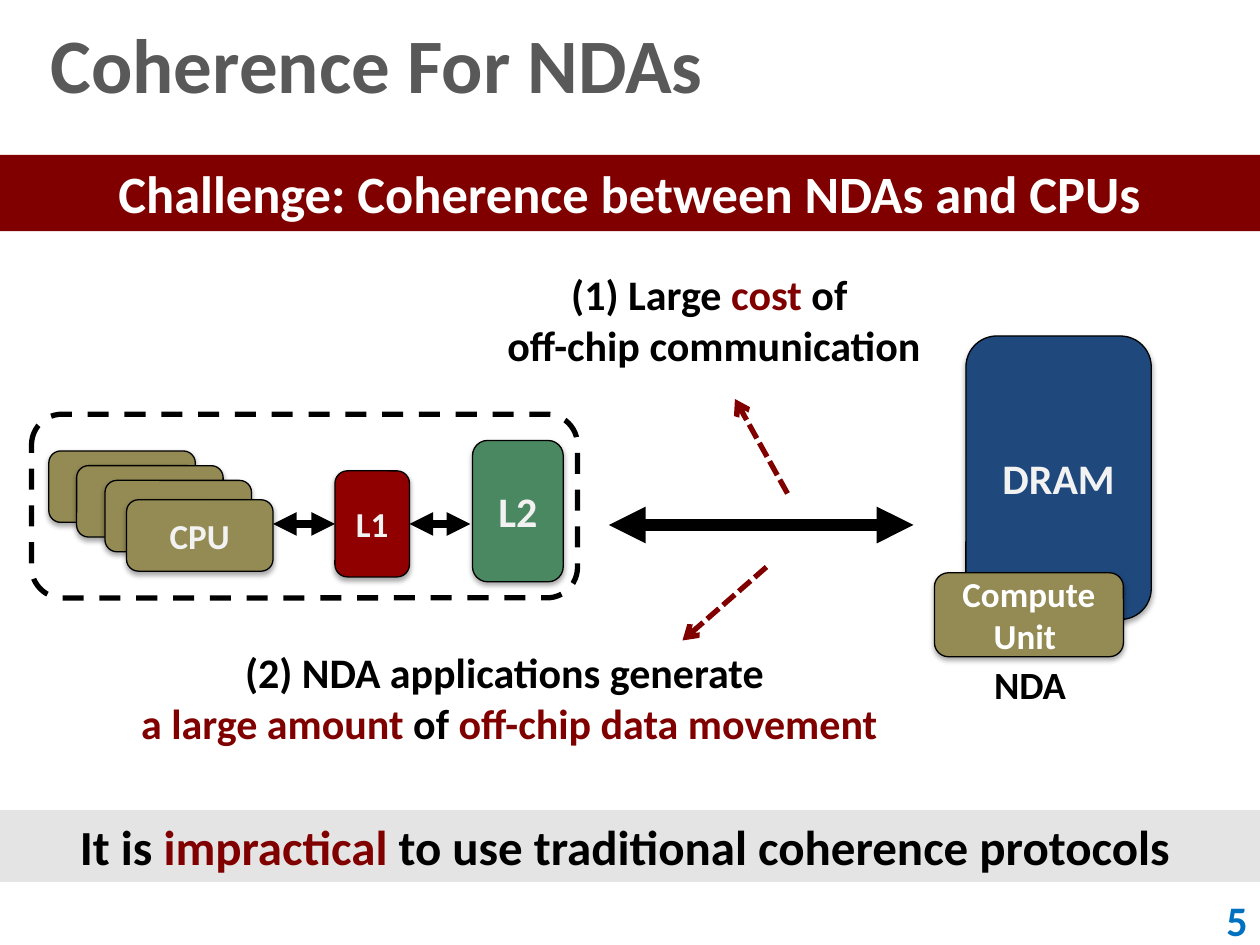
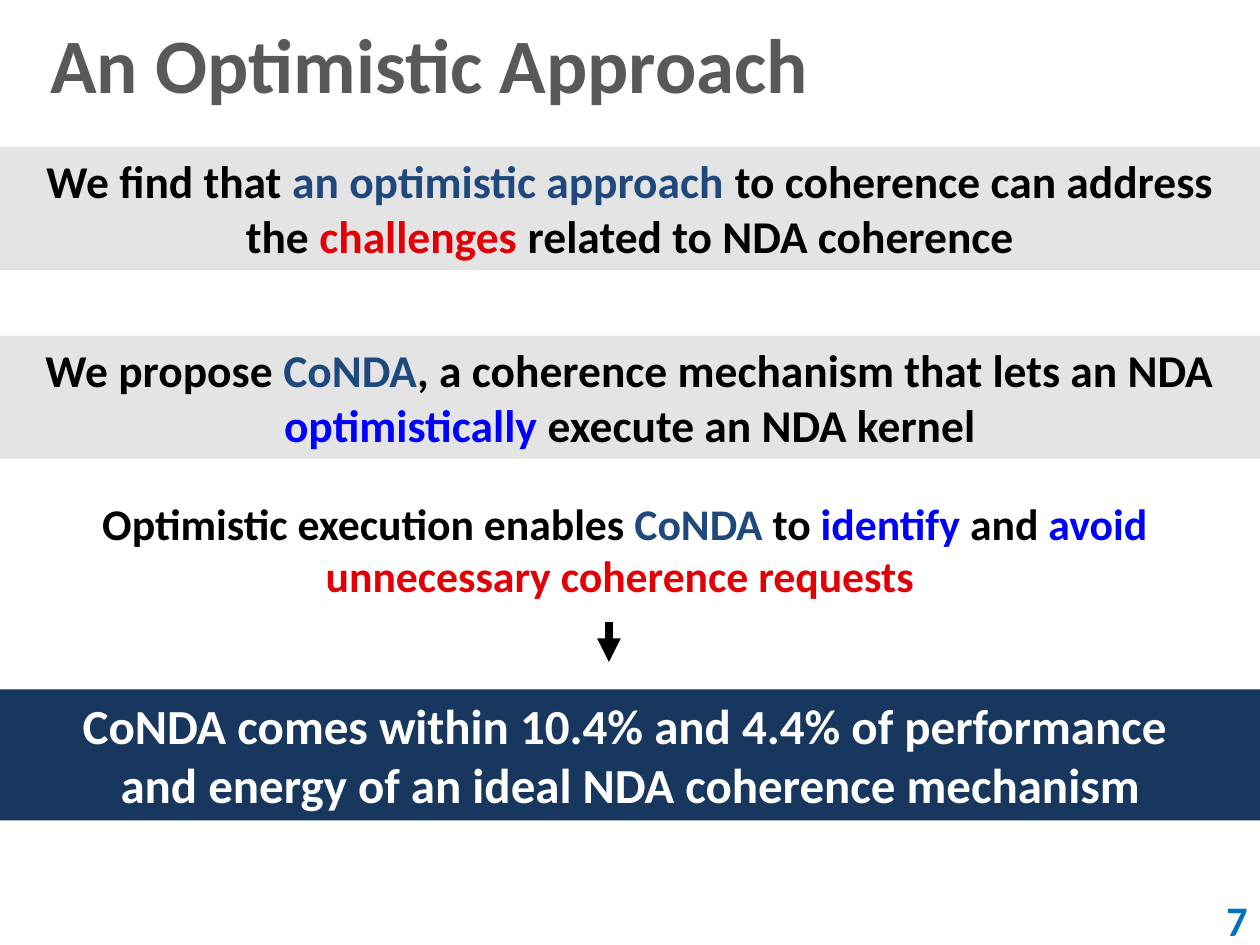
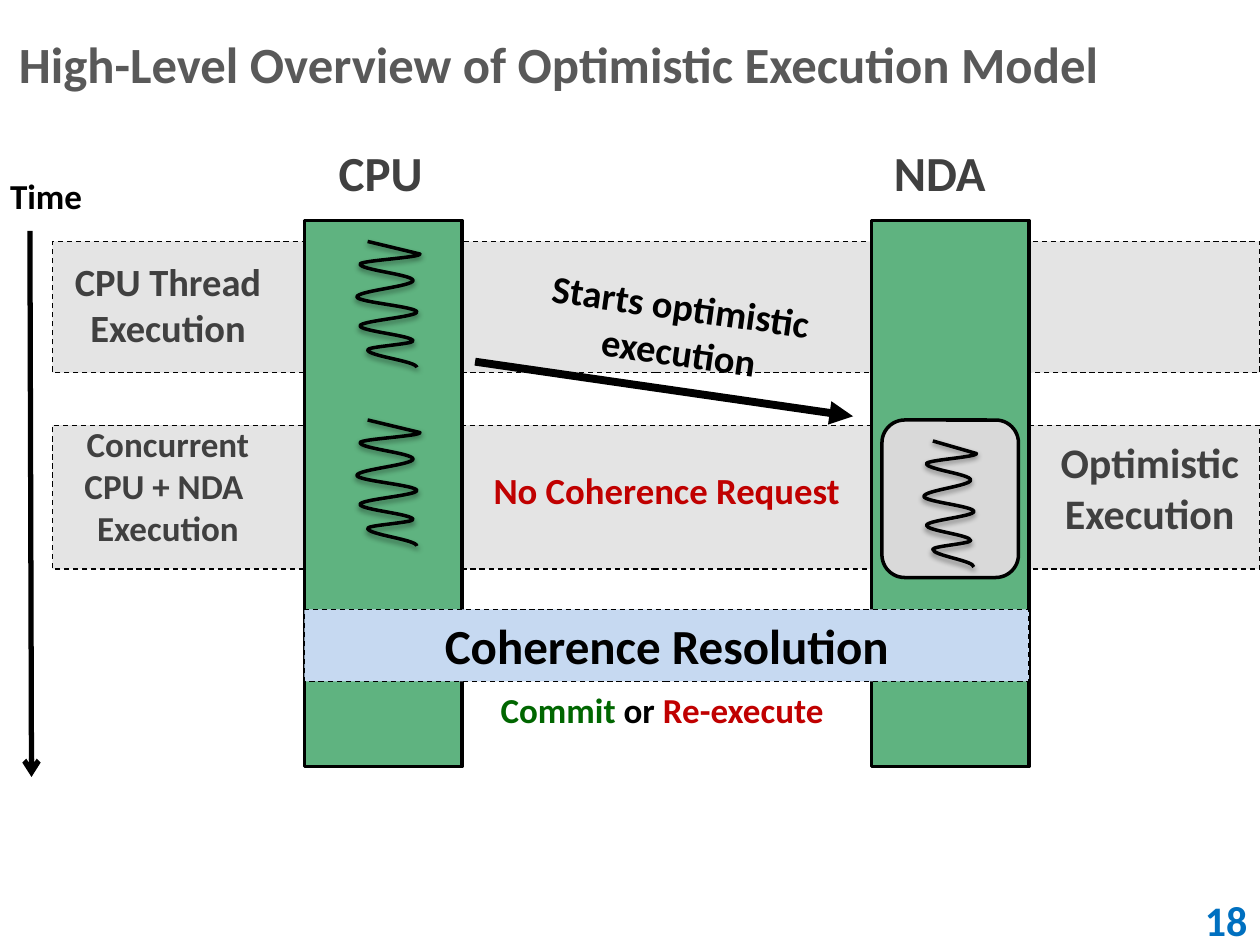
from lxml import etree
from pptx import Presentation
from pptx import util as u
from pptx.dml import color as dml_color
from pptx.enum import dml, shapes, text
from pptx.oxml import ns

# Shared look; positions are cells of a grid of 120 columns by 90 rows
COLUMNS, ROWS = 120, 90
CELL = u.Inches(10) / COLUMNS
FONT = "Calibri"
COLORS = {
    "black": "000000", "white": "FFFFFF", "title": "595959", "number": "0070C0",
    "maroon": "800000", "band": "E4E4E4", "navy": "1F497D", "dark_navy": "17375E",
    "olive": "948A54", "cache_red": "900000", "cache_green": "4A8861",
    "light": "F2F2F2", "red": "E20006", "blue": "0000FF", "lane": "5FB380",
    "label": "404040", "kernel": "D9D9D9", "resolution": "C6D9F1",
    "alert": "C00000", "commit": "006600",
}
RECTANGLE = shapes.MSO_SHAPE.RECTANGLE
ROUNDED = shapes.MSO_SHAPE.ROUNDED_RECTANGLE
DASH = dml.MSO_LINE.DASH
SHORT_DASH = dml.MSO_LINE.SQUARE_DOT
CENTER, LEFT, RIGHT = text.PP_ALIGN.CENTER, text.PP_ALIGN.LEFT, text.PP_ALIGN.RIGHT
TOP, MIDDLE = text.MSO_ANCHOR.TOP, text.MSO_ANCHOR.MIDDLE


def rgb(name):
    return dml_color.RGBColor.from_string(COLORS[name])


def cells(*values):
    return [u.Emu(round(value * CELL)) for value in values]


def inside(box, column, row, width, height):
    """Move a box given relative to the corner of another one."""
    return box[0] + column, box[1] + row, width, height


# Basic parts
def write(shape, pieces, size, color="black", align=CENTER, anchor=MIDDLE, wrap=True):
    """Write a string, or a list of (string, color) pieces, as one paragraph."""
    frame = shape.text_frame
    frame.word_wrap = wrap
    frame.auto_size = text.MSO_AUTO_SIZE.NONE
    frame.vertical_anchor = anchor
    paragraph = frame.paragraphs[0]
    paragraph.alignment = align
    for words, piece_color in [(pieces, color)] if isinstance(pieces, str) else pieces:
        for index, line in enumerate(words.split("\n")):
            if index:
                paragraph.add_line_break()
            if line:
                run = paragraph.add_run()
                run.text = line
                run.font.name, run.font.size, run.font.bold = FONT, u.Pt(size), True
                run.font.color.rgb = rgb(piece_color)


def set_line(line, width, color="black", dash=None):
    line.color.rgb = rgb(color)
    line.width = u.Pt(width)
    if dash:
        line.dash_style = dash


def add_shadow(shape, opacity):
    effects = shape._element.spPr.find(ns.qn("a:effectLst"))
    shadow = etree.SubElement(effects, ns.qn("a:outerShdw"), blurRad=str(u.Pt(3.1)),
                              dist=str(u.Pt(1.8)), dir="5400000", rotWithShape="0")
    shade = etree.SubElement(shadow, ns.qn("a:srgbClr"), val=COLORS["black"])
    etree.SubElement(shade, ns.qn("a:alpha"), val=str(opacity * 1000))


def add_block(slide, box, fill=None, line=None, dash=None, kind=RECTANGLE):
    shape = slide.shapes.add_shape(kind, *cells(*box))
    shape.shadow.inherit = False
    if fill:
        shape.fill.solid()
        shape.fill.fore_color.rgb = rgb(fill)
    else:
        shape.fill.background()
    if line:
        set_line(shape.line, line, dash=dash)
    else:
        shape.line.fill.background()
    return shape


def add_unit(slide, box, fill, words="", size=20, color="light"):
    """A rounded hardware unit with a soft shadow."""
    shape = add_block(slide, box, fill, line=0.75, kind=ROUNDED)
    add_shadow(shape, 35)
    if words:
        write(shape, words, size, color)
    return shape


def add_band(slide, box, fill, pieces, size, color="black"):
    write(add_block(slide, box, fill), pieces, size, color, anchor=TOP)


def add_label(slide, box, pieces, size, color="black", wrap=True):
    label = slide.shapes.add_textbox(*cells(*box))
    write(label, pieces, size, color, anchor=TOP, wrap=wrap)
    return label


def add_arrow(slide, start, end, width, color="black", dash=None, head=None, tail="triangle"):
    arrow = slide.shapes.add_connector(shapes.MSO_CONNECTOR.STRAIGHT, *cells(*start, *end))
    set_line(arrow.line, width, color, dash)
    properties = arrow._element.spPr
    outline = properties.find(ns.qn("a:ln"))
    for tag, kind in (("a:headEnd", head), ("a:tailEnd", tail)):
        if kind:
            etree.SubElement(outline, ns.qn(tag), type=kind)
    etree.SubElement(properties, ns.qn("a:effectLst"))
    return arrow


def add_slide(presentation, title, number, size=44, left=0, width=126):
    """A title-only slide with the shared title style and page number."""
    slide = presentation.slides.add_slide(presentation.slide_layouts[5])
    heading = slide.shapes.title
    heading.left, heading.top, heading.width, heading.height = cells(left, 0, width, 12)
    heading.text_frame.margin_left = u.Inches(0.4)
    write(heading, title, size, "title", LEFT)
    page = add_block(slide, (96, 85.2, 24, 4.8), "white")
    write(page, str(number), 24, "number", RIGHT)
    return slide


# Slide 1: coherence between processor and near-data accelerator
def draw_processor(slide, box):
    add_block(slide, box, line=3, dash=DASH, kind=ROUNDED)
    add_unit(slide, inside(box, 42, 2.5, 8.64, 13.46), "cache_green", "L2", 24)
    l1 = add_unit(slide, inside(box, 28.9, 5.4, 7.1, 10.1), "cache_red", "L1")
    # Links from L1 to the cores and to L2
    for side, far_end in ((1, 23), (3, 41.8)):
        end = (box[0] + far_end, box[1] + 10.45)
        link = add_arrow(slide, end, end, 4.5, head="triangle")
        link.begin_connect(l1, side)
    cards = [(1.65, 3.5), (4.3, 4.9), (7, 6.3), (9.05, 8.15)]
    for column, row in cards:
        front = (column, row) == cards[-1]
        add_unit(slide, inside(box, column, row, 13.95, 6.8), "olive", "CPU" if front else "")


def draw_memory(slide, box):
    add_unit(slide, box, "navy", "DRAM", 24)
    add_label(slide, inside(box, -20, 30.4, 52.2, 5.6), "NDA", 22)
    add_unit(slide, inside(box, -3, 22.55, 18, 8), "olive", "Compute Unit ", 20, "white")


def build_challenge(presentation):
    slide = add_slide(presentation, "Coherence For NDAs", 5, width=COLUMNS)
    add_band(slide, (0, 14.75, COLUMNS, 7.27), "maroon",
             "Challenge: Coherence between NDAs and CPUs", 30, "white")
    draw_memory(slide, (92, 32, 17.65, 27))
    add_arrow(slide, (87, 50), (58, 50), 7, head="triangle")
    draw_processor(slide, (3, 39.45, 52, 17.5))

    # The two problems of the off-chip link
    for start, end in (((75, 47), (70, 38)), ((73, 54), (65, 61))):
        add_arrow(slide, start, end, 3, "maroon", SHORT_DASH, tail="arrow")
    add_label(slide, (30, 25, 76, 10.9), [
        ("(1) Large ", "black"), ("cost", "maroon"),
        (" of \noff-chip communication", "black")], 24)
    add_label(slide, (7, 61, 83, 10.9), [
        ("(2) NDA applications generate \n", "black"), ("a large amount ", "maroon"),
        ("of", "black"), (" off-chip data movement", "maroon")], 24)
    add_band(slide, (-3, 77.15, 125, 6.85), "band", [
        ("It is ", "black"), ("impractical", "maroon"),
        (" to use traditional coherence protocols", "black")], 28)


# Slide 2: statements in full-width bands
def build_approach(presentation):
    slide = add_slide(presentation, "An Optimistic Approach", 7)
    findings = [
        [("We find that ", "black"), ("an optimistic approach ", "navy"),
         ("to coherence can address the ", "black"), ("challenges", "red"),
         (" related to NDA coherence", "black")],
        [("We propose ", "black"), ("CoNDA", "navy"),
         (", a coherence mechanism that lets an NDA ", "black"),
         ("optimistically", "blue"), (" execute an NDA kernel", "black")],
    ]
    for index, pieces in enumerate(findings):
        add_band(slide, (0, 14 + 18 * index, COLUMNS, 11.7), "band", pieces, 26)
    add_label(slide, (-4.5, 46.7, 128, 16.3), [
        ("Optimistic execution enables ", "black"), ("CoNDA ", "navy"), ("to ", "black"),
        ("identify", "blue"), (" and ", "black"), ("avoid\n", "blue"),
        ("unnecessary coherence requests ", "red")], 25)
    add_arrow(slide, (58, 59.2), (58, 63.05), 4.5)
    add_band(slide, (-4.5, 65.65, 129, 12.5), "dark_navy",
             "CoNDA comes within 10.4% and 4.4% of performance \n"
             "and energy of an ideal NDA coherence mechanism", 28, "white")


# Slide 3: timeline of the execution model
def bend(segment, start, end):
    """Turn a straight segment into a curve that is upright at both ends."""
    reach = round((end[1] - start[1]) * 0.36)
    segment.tag = ns.qn("a:cubicBezTo")
    for position, (x, y) in enumerate(((start[0], start[1] + reach),
                                       (end[0], end[1] - reach))):
        segment.insert(position, etree.Element(ns.qn("a:pt"), x=str(x), y=str(y)))


def draw_thread(slide, box):
    """A wavy thread that swings between turning points given as shares of its box."""
    turns = [(0.17, 0), (1, 0.1), (0.05, 0.18), (0.89, 0.31), (0, 0.44), (0.95, 0.56),
             (0.05, 0.67), (0.89, 0.79), (0.17, 0.86), (0.95, 1)]
    placed = [cells(box[0] + x * box[2], box[1] + y * box[3]) for x, y in turns]
    builder = slide.shapes.build_freeform(*placed[0])
    builder.add_line_segments(placed[1:], close=False)
    thread = builder.convert_to_shape()
    thread.shadow.inherit = False
    thread.fill.background()
    set_line(thread.line, 2)
    add_shadow(thread, 38)

    # The first stroke stays straight, the others swing
    local = [(x - thread.left, y - thread.top) for x, y in placed]
    segments = list(thread._element.iter(ns.qn("a:lnTo")))
    for segment, start, end in zip(segments[1:], local[1:], local[2:]):
        bend(segment, start, end)


def draw_lane(slide, box, name, name_left, name_width):
    add_block(slide, box, "lane", line=2)
    add_label(slide, inside(box, name_left, -8, name_width, 6.8), name, 28, "label", wrap=False)


def build_overview(presentation):
    slide = add_slide(presentation, "High-Level Overview of Optimistic Execution Model",
                      18, size=29, left=-3)

    # Phases and time axis
    for top, height in ((23, 12.5), (40.5, 13.7)):
        add_block(slide, (5, top, 115, height), "band", line=0.75, dash=DASH)
    add_arrow(slide, (2.85, 22), (3, 74), 3, tail="arrow")
    add_label(slide, (-1, 16, 10.8, 5.3), "Time", 20, wrap=False)
    add_label(slide, (3, 24, 26, 10), "CPU Thread Execution", 22, "label")
    add_label(slide, (5, 39.65, 22, 13.3), "Concurrent CPU + NDA \nExecution", 20, "label")
    add_label(slide, (97, 41, 25, 10.9), "Optimistic Execution", 24, "label")

    # Lanes with their threads
    draw_lane(slide, (29, 21, 15, 52), "CPU", 2, 10.5)
    draw_lane(slide, (83, 21, 15, 52), "NDA", -0.35, 13.7)
    add_block(slide, (84, 40, 13, 15), "kernel", line=2, kind=ROUNDED)
    for thread in ((34, 23, 6, 12), (34, 40, 6, 12), (88, 42, 5, 12)):
        draw_thread(slide, thread)

    # Exchange between the lanes
    add_arrow(slide, (45.25, 34.45), (81.25, 39.65), 4.5)
    start_label = add_label(slide, (38.05, 26.25, 53, 10.05),
                            "Starts optimistic\n execution", 22)
    start_label.rotation = 8
    add_label(slide, (37, 44, 53, 5.4), "No Coherence Request", 21, "alert")
    add_band(slide, (29, 58.05, 69, 6.85), "resolution", "Coherence Resolution", 28)
    resolution = slide.shapes[-1]
    set_line(resolution.line, 0.75, dash=DASH)
    add_label(slide, (36.05, 65, 54, 5.3), [
        ("Commit", "commit"), (" or ", "black"), ("Re-execute", "alert")], 20)


def main():
    presentation = Presentation()
    presentation.slide_width, presentation.slide_height = cells(COLUMNS, ROWS)
    build_challenge(presentation)
    build_approach(presentation)
    build_overview(presentation)
    presentation.save("out.pptx")


if __name__ == "__main__":
    main()
